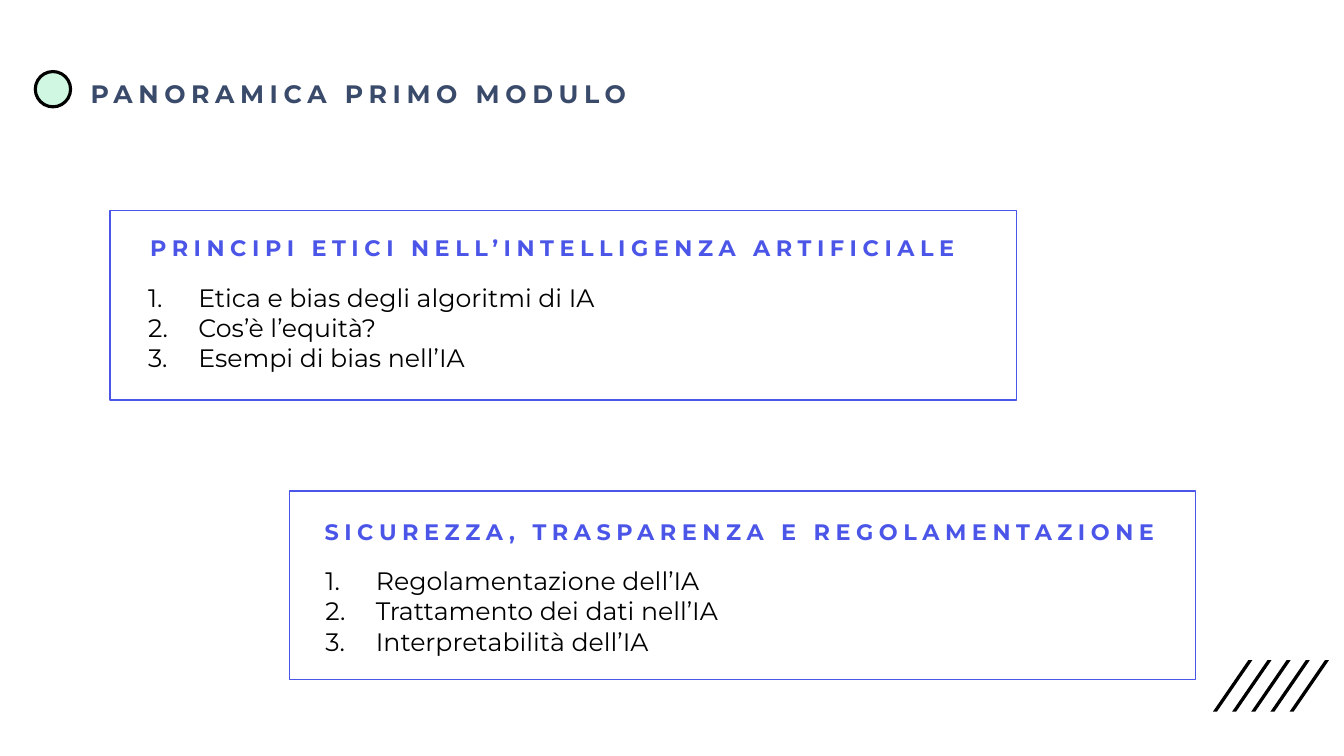
from dataclasses import dataclass

from lxml.etree import SubElement
from pptx import Presentation
from pptx.dml.color import RGBColor
from pptx.enum.shapes import MSO_SHAPE as Shape
from pptx.oxml.ns import qn
from pptx.slide import Slide
from pptx.text.text import TextFrame
from pptx.util import Emu, Pt

PX = 9144  # EMU per px, 100 px to the inch
FONT = "Montserrat"
COLORS = {"ink": "000000", "title": "3A4A6A", "accent": "4B56E8", "mint": "CFF7E1"}
STRIPE_COUNT, STRIPE_STEP = 5, 19
STRIPE_LEFT, STRIPE_TOP = 1203, 655
STRIPE_OUTLINE = [(4, 51), (0, 51), (35, 0), (39, 0)]


@dataclass(frozen=True)
class Box:
    left: int
    top: int
    width: int
    height: int

    def emu(self) -> tuple[Emu, ...]:
        return tuple(Emu(side * PX) for side in (self.left, self.top, self.width, self.height))


@dataclass(frozen=True)
class Module:
    frame: Box
    heading: str
    heading_box: Box
    topics: list[str]
    topics_box: Box


MODULES = [
    Module(
        Box(109, 209, 899, 188),
        "PRINCIPI ETICI NELL’INTELLIGENZA ARTIFICIALE",
        Box(139, 230, 882, 42),
        ["Etica e bias degli algoritmi di IA", "Cos’è l’equità?", "Esempi di bias nell’IA"],
        Box(137, 275, 1213, 101),
    ),
    Module(
        Box(287, 487, 899, 187),
        "SICUREZZA, TRASPARENZA E REGOLAMENTAZIONE",
        Box(312, 512, 882, 42),
        ["Regolamentazione dell’IA", "Trattamento dei dati nell’IA", "Interpretabilità dell’IA"],
        Box(313, 556, 854, 101),
    ),
]


def color(name: str) -> RGBColor:
    return RGBColor.from_string(COLORS[name])


def add_text_frame(slide: Slide, box: Box) -> TextFrame:
    text_frame = slide.shapes.add_textbox(*box.emu()).text_frame
    text_frame.word_wrap = True
    return text_frame


def add_heading(slide: Slide, box: Box, text: str, size: int, color_name: str) -> None:
    """Add one line of bold, letter-spaced text."""
    paragraph = add_text_frame(slide, box).paragraphs[0]
    paragraph.line_spacing = 0.9
    run = paragraph.add_run()
    run.text = text
    run.font.name = FONT
    run.font.size = Pt(size)
    run.font.bold = True
    run.font.color.rgb = color(color_name)
    run.font._element.set("spc", "400")


def add_numbered_list(slide: Slide, box: Box, items: list[str]) -> None:
    text_frame = add_text_frame(slide, box)
    text_frame.text = "\n".join(items)
    for paragraph in text_frame.paragraphs:
        properties = paragraph._p.get_or_add_pPr()
        properties.set("marL", str(50 * PX))
        properties.set("indent", str(-50 * PX))
        SubElement(properties, qn("a:buFont"), typeface="+mj-lt")
        SubElement(properties, qn("a:buAutoNum"), type="arabicPeriod")
        paragraph.font.name = FONT
        paragraph.font.size = Pt(18)
        paragraph.font.color.rgb = color("ink")


def add_module(slide: Slide, module: Module) -> None:
    frame = slide.shapes.add_shape(Shape.RECTANGLE, *module.frame.emu())
    frame.shadow.inherit = False
    frame.fill.background()
    frame.line.color.rgb = color("accent")
    frame.line.width = Pt(1)
    add_heading(slide, module.heading_box, module.heading, 16, "accent")
    add_numbered_list(slide, module.topics_box, module.topics)


def add_stripes(slide: Slide) -> None:
    for index in range(STRIPE_COUNT):
        left = STRIPE_LEFT + index * STRIPE_STEP
        start, *others = [(left + x, STRIPE_TOP + y) for x, y in STRIPE_OUTLINE]
        builder = slide.shapes.build_freeform(*start, scale=PX)
        builder.add_line_segments(others, close=True)
        stripe = builder.convert_to_shape()
        stripe.shadow.inherit = False
        stripe.fill.solid()
        stripe.fill.fore_color.rgb = color("ink")
        stripe.line.fill.background()


def add_title_dot(slide: Slide) -> None:
    dot = slide.shapes.add_shape(Shape.OVAL, *Box(35, 71, 35, 35).emu())
    dot.shadow.inherit = False
    dot.fill.solid()
    dot.fill.fore_color.rgb = color("mint")
    dot.line.color.rgb = color("ink")
    dot.line.width = Pt(2.25)


def main() -> None:
    presentation = Presentation()
    presentation.slide_width = Emu(1333 * PX)
    presentation.slide_height = Emu(750 * PX)
    slide = presentation.slides.add_slide(presentation.slide_layouts[6])
    add_stripes(slide)
    add_title_dot(slide)
    add_heading(slide, Box(80, 76, 882, 42), "PANORAMICA PRIMO MODULO", 18, "title")
    for module in MODULES:
        add_module(slide, module)
    presentation.save("out.pptx")


if __name__ == "__main__":
    main()
